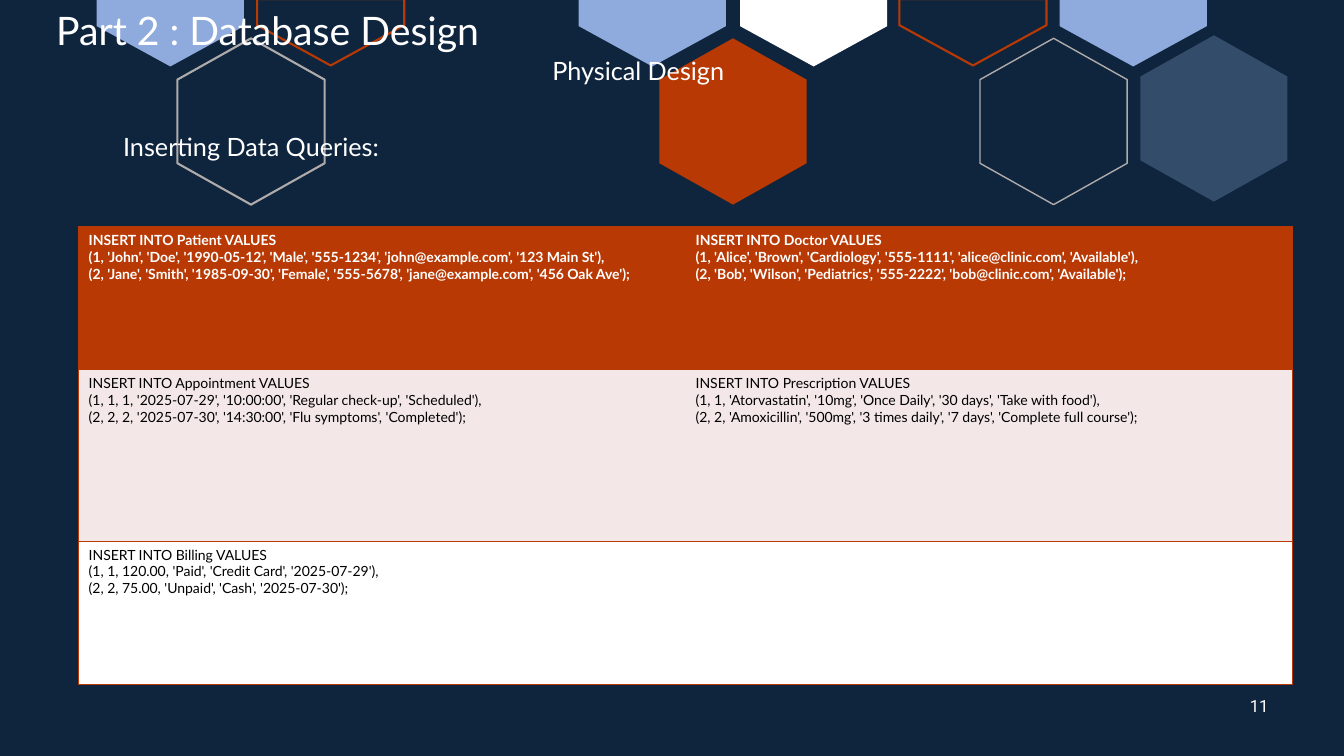
"""Build the database design slide with its table of INSERT queries."""
import pptx
import pptx.util
from lxml import etree
from pptx.dml.color import RGBColor
from pptx.enum.text import MSO_ANCHOR, PP_ALIGN
from pptx.oxml.ns import qn
from pptx.util import Inches

COLORS = {
    "navy": "0F253E", "orange": "B83903", "sky": "8FAADC", "white": "FFFFFF",
    "gray": "AFABAB", "slate": "334C6A", "blush": "F3E8E7", "black": "000000",
}

HALF_WIDTH = 0.73
HEXAGONS = [
    (10.45, 0.38, None, "gray", 1),
    (7.27, 0.38, "orange", None, 0),
    (2.49, 0.38, None, "gray", 1.5),
    (12.04, 0.35, "slate", None, 0),
]
CUT_HEXAGONS = [
    (6.47, 0, "sky", None, 0),
    (8.07, 0, "white", None, 0),
    (1.69, 0, "sky", None, 0),
    (3.28, -0.01, None, "orange", 1.5),
    (9.65, -0.01, None, "orange", 1.5),
    (11.24, 0, "sky", None, 0),
]

QUERIES = [
    [
        ["INSERT INTO Patient VALUES",
         "(1, 'John', 'Doe', '1990-05-12', 'Male', '555-1234', 'john@example.com', '123 Main St'),",
         "(2, 'Jane', 'Smith', '1985-09-30', 'Female', '555-5678', 'jane@example.com', '456 Oak Ave');"],
        ["INSERT INTO Doctor VALUES",
         "(1, 'Alice', 'Brown', 'Cardiology', '555-1111', 'alice@clinic.com', 'Available'),",
         "(2, 'Bob', 'Wilson', 'Pediatrics', '555-2222', 'bob@clinic.com', 'Available');"],
    ],
    [
        ["INSERT INTO Appointment VALUES",
         "(1, 1, 1, '2025-07-29', '10:00:00', 'Regular check-up', 'Scheduled'),",
         "(2, 2, 2, '2025-07-30', '14:30:00', 'Flu symptoms', 'Completed');"],
        ["INSERT INTO Prescription VALUES",
         "(1, 1, 'Atorvastatin', '10mg', 'Once Daily', '30 days', 'Take with food'),",
         "(2, 2, 'Amoxicillin', '500mg', '3 times daily', '7 days', 'Complete full course');"],
    ],
    [
        ["INSERT INTO Billing VALUES",
         "(1, 1, 120.00, 'Paid', 'Credit Card', '2025-07-29'),",
         "(2, 2, 75.00, 'Unpaid', 'Cash', '2025-07-30');"],
        [""],
    ],
]
ROW_STYLES = [
    (1.42, "orange", "white", True),
    (1.7, "blush", "black", False),
    (1.42, "white", "black", False),
]


def rgb(color):
    return RGBColor.from_string(COLORS[color])


def write_text(frame, lines, size=18, color="white", font="Lato", bold=False,
               align=PP_ALIGN.LEFT):
    for index, line in enumerate(lines):
        paragraph = frame.paragraphs[0] if index == 0 else frame.add_paragraph()
        paragraph.alignment = align
        paragraph.font.size = pptx.util.Pt(size)
        if line:
            run = paragraph.add_run()
            run.text = line
            run.font.size = pptx.util.Pt(size)
            run.font.name = font
            run.font.bold = bold
            run.font.color.rgb = rgb(color)


def add_label(slide, text, left, top, width, height, anchor=MSO_ANCHOR.TOP, **style):
    box = slide.shapes.add_textbox(Inches(left), Inches(top), Inches(width), Inches(height))
    box.text_frame.word_wrap = True
    box.text_frame.vertical_anchor = anchor
    write_text(box.text_frame, [text], align=PP_ALIGN.CENTER, **style)


def add_outline(slide, points, fill, line, line_width):
    corners = [(Inches(x), Inches(y)) for x, y in points]
    builder = slide.shapes.build_freeform(*corners[0], scale=1.0)
    builder.add_line_segments(corners[1:], close=True)
    hexagon = builder.convert_to_shape()
    hexagon.shadow.inherit = False
    if fill:
        hexagon.fill.solid()
        hexagon.fill.fore_color.rgb = rgb(fill)
    else:
        hexagon.fill.background()
    if line:
        hexagon.line.color.rgb = rgb(line)
        hexagon.line.width = pptx.util.Pt(line_width)
    else:
        hexagon.line.fill.background()


def add_hexagon(slide, center, top, *style):
    left, right = center - HALF_WIDTH, center + HALF_WIDTH
    points = [(center, top), (right, top + 0.41), (right, top + 1.24),
              (center, top + 1.65), (left, top + 1.24), (left, top + 0.41)]
    add_outline(slide, points, *style)


def add_cut_hexagon(slide, center, top, *style):
    left, right = center - HALF_WIDTH, center + HALF_WIDTH
    points = [(left, top), (right, top), (right, top + 0.26),
              (center, top + 0.66), (left, top + 0.26)]
    add_outline(slide, points, *style)


def set_borders(cell, visible):
    properties = cell._tc.get_or_add_tcPr()
    for side in ("L", "R", "T", "B"):
        border = etree.SubElement(properties, qn(f"a:ln{side}"), w=str(pptx.util.Pt(1)))
        if side in visible:
            fill = etree.SubElement(border, qn("a:solidFill"))
            etree.SubElement(fill, qn("a:srgbClr"), val=COLORS["orange"])
        else:
            etree.SubElement(border, qn("a:noFill"))


def add_query_table(slide):
    table = slide.shapes.add_table(
        len(QUERIES), 2, Inches(0.78), Inches(2.25), Inches(12.04), Inches(4.54)).table
    table.horz_banding = False
    for row, (queries, style) in enumerate(zip(QUERIES, ROW_STYLES)):
        height, fill, color, bold = style
        table.rows[row].height = Inches(height)
        for column, query in enumerate(queries):
            cell = table.cell(row, column)
            set_borders(cell, "LTB" if column == 0 else "RTB")
            cell.fill.solid()
            cell.fill.fore_color.rgb = rgb(fill)
            write_text(cell.text_frame, query, size=10, color=color, bold=bold)


def main():
    presentation = pptx.Presentation()
    presentation.slide_width = Inches(13.33)
    presentation.slide_height = Inches(7.5)
    slide = presentation.slides.add_slide(presentation.slide_layouts[6])
    slide.background.fill.solid()
    slide.background.fill.fore_color.rgb = rgb("navy")
    for hexagon in HEXAGONS:
        add_hexagon(slide, *hexagon)
    for hexagon in CUT_HEXAGONS:
        add_cut_hexagon(slide, *hexagon)
    add_label(slide, "11", 12.24, 6.8, 0.5, 0.4, MSO_ANCHOR.MIDDLE, size=12, font="Roboto")
    add_label(slide, "Part 2 : Database Design", 0, 0.01, 5.31, 0.57, size=28)
    add_label(slide, "Physical Design", 2.49, 0.5, 7.68, 0.42)
    add_query_table(slide)
    add_label(slide, "Inserting Data Queries:", 0.52, 1.25, 3.94, 0.4)
    presentation.save("out.pptx")


if __name__ == "__main__":
    main()
